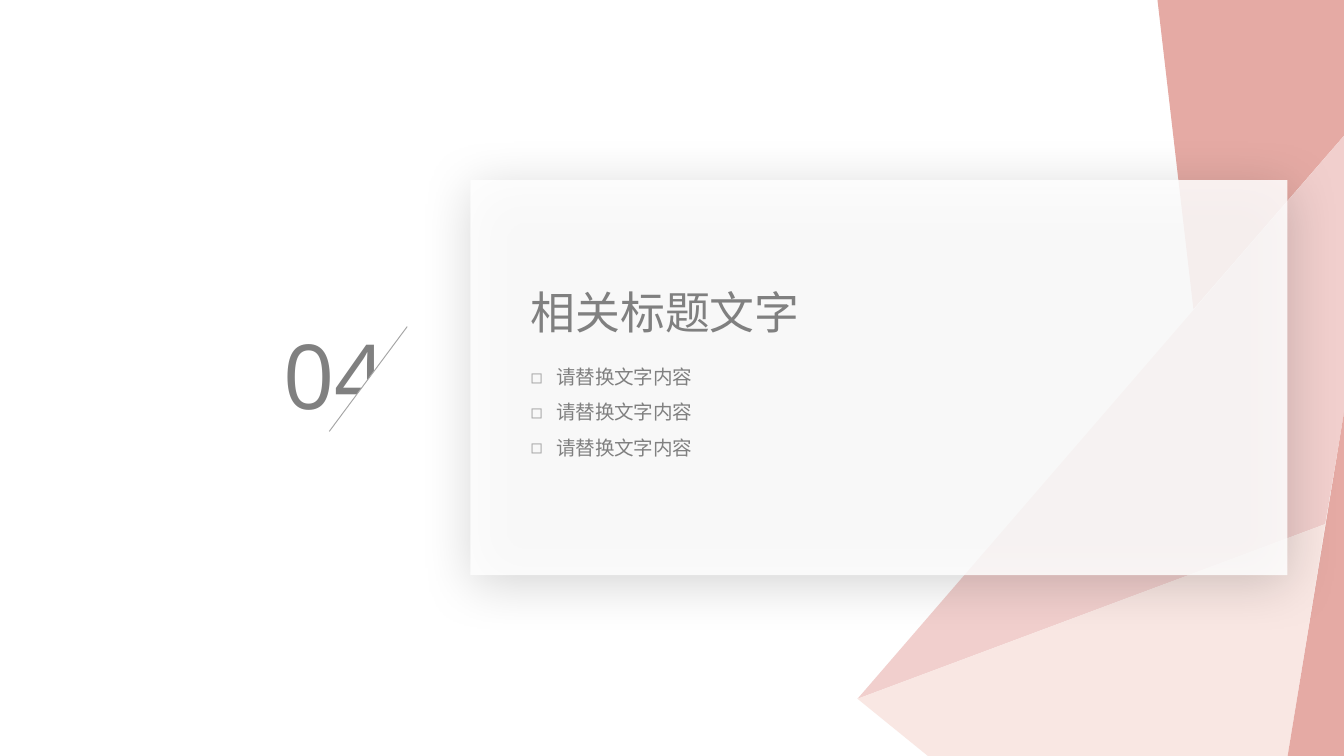
from lxml import etree
from pptx import Presentation
from pptx.dml.color import RGBColor
from pptx.enum import shapes, text
from pptx.oxml.ns import qn
from pptx.util import Inches, Pt

FONT = "Open Sans"
COLORS = {"rose": "E5AAA4", "pink": "F1CFCD", "cream": "F9E7E3",
          "white": "FFFFFF", "text": "808080", "line": "A5A5A5", "shadow": "000000"}

NUMBER = "04"
TITLE = "相关标题文字"
ITEMS = ["请替换文字内容"] * 3

# Corners shared by neighbouring facets
TIP, FOLD, FOOT = (6.38, 5.2), (9.86, 3.9), (9.58, 5.63)
EDGE_HIGH, EDGE_LOW = (10, 1.01), (10, 3.07)
FACETS = [
    ("rose", [(8.88, 2.3), (8.61, -0.02), (10, -0.02), EDGE_HIGH]),
    ("pink", [TIP, FOLD, EDGE_LOW, EDGE_HIGH]),
    ("cream", [TIP, (6.91, 5.63), FOOT, FOLD]),
    ("rose", [FOOT, (10, 5.63), EDGE_LOW]),
]
CARD = (3.5, 1.34, 6.08, 2.94)
SLASH = (2.45, 2.43, 0.58, 0.78)
TEXT_LEFT = 3.85


def rgb(name):
    return RGBColor.from_string(COLORS[name])


def child(parent, tag, **attrs):
    return etree.SubElement(parent, qn(tag), {k: str(v) for k, v in attrs.items()})


def paint(sp, color):
    sp.shadow.inherit = False
    sp.fill.solid()
    sp.fill.fore_color.rgb = rgb(color)
    sp.line.fill.background()


def add_facet(slide, color, points):
    corners = [(Inches(x), Inches(y)) for x, y in points]
    builder = slide.shapes.build_freeform(*corners[0], scale=1.0)
    builder.add_line_segments(corners[1:], close=True)
    paint(builder.convert_to_shape(), color)


def add_card(slide):
    """Translucent white panel with a soft shadow."""
    sp = slide.shapes.add_shape(shapes.MSO_SHAPE.RECTANGLE, *map(Inches, CARD))
    paint(sp, "white")
    props = sp._element.spPr
    child(props.find(qn("a:solidFill"))[0], "a:alpha", val=85000)
    shadow = child(props.find(qn("a:effectLst")), "a:outerShdw", blurRad=Pt(29),
                   dist=Pt(5), dir=77 * 60000, algn="t", rotWithShape=0)
    color = child(shadow, "a:srgbClr", val=COLORS["shadow"])
    child(color, "a:alpha", val=20000)


def add_text(slide, box, lines, size, wrap=True):
    tf = slide.shapes.add_textbox(*map(Inches, box)).text_frame
    tf.word_wrap = wrap
    tf.auto_size = text.MSO_AUTO_SIZE.SHAPE_TO_FIT_TEXT
    tf.text = "\n".join(lines)
    for p in tf.paragraphs:
        for r in p.runs:
            r.font.size = Pt(size)
            r.font.name = FONT
            r.font.color.rgb = rgb("text")
            child(r.font._element, "a:ea", typeface=FONT)
    return tf


def add_bullets(tf):
    for p in tf.paragraphs:
        p.line_spacing = 1.5
        props = p._p.get_or_add_pPr()
        props.set("marL", str(Inches(0.19)))
        props.set("indent", str(-Inches(0.19)))
        child(child(props, "a:buClr"), "a:srgbClr", val=COLORS["line"])
        child(props, "a:buFont", typeface=FONT)
        child(props, "a:buChar", char="◻")


def add_slash(slide):
    """White triangle that cuts the number, with a thin line along its long side."""
    x, y, w, h = SLASH
    # The box is given before its quarter turn, so width and height swap.
    box = (x + (w - h) / 2, y + (h - w) / 2, h, w)
    sp = slide.shapes.add_shape(shapes.MSO_SHAPE.RIGHT_TRIANGLE, *map(Inches, box))
    sp.rotation = 270
    paint(sp, "white")
    line = slide.shapes.add_connector(shapes.MSO_CONNECTOR.STRAIGHT,
                                      *map(Inches, (x + w, y, x, y + h)))
    line.line.color.rgb = rgb("line")
    line.line.width = Pt(0.5)
    child(line._element.spPr, "a:effectLst")


def main():
    prs = Presentation()
    prs.slide_width = Inches(10)
    prs.slide_height = prs.slide_width * 9 // 16
    slide = prs.slides.add_slide(prs.slide_layouts[6])
    for color, points in FACETS:
        add_facet(slide, color, points)
    add_card(slide)
    add_text(slide, (2.01, 2.33, 0.98, 0.91), [NUMBER], 48)
    add_text(slide, (TEXT_LEFT, 2.07, 2.22, 0.5), [TITLE], 24, wrap=False)
    add_slash(slide)
    add_bullets(add_text(slide, (TEXT_LEFT, 2.58, 2.5, 0.9), ITEMS, 10.5))
    prs.save("out.pptx")


if __name__ == "__main__":
    main()
